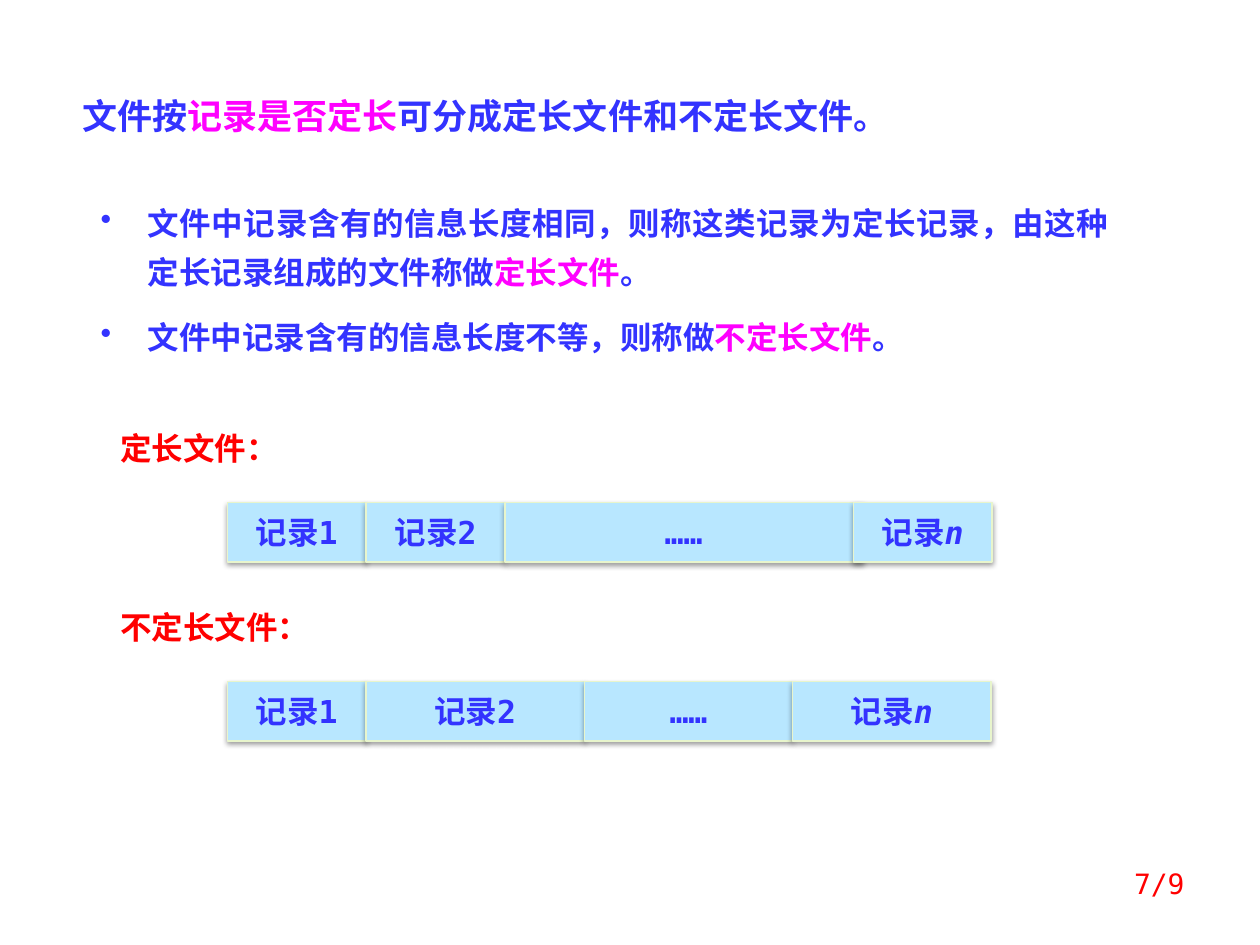
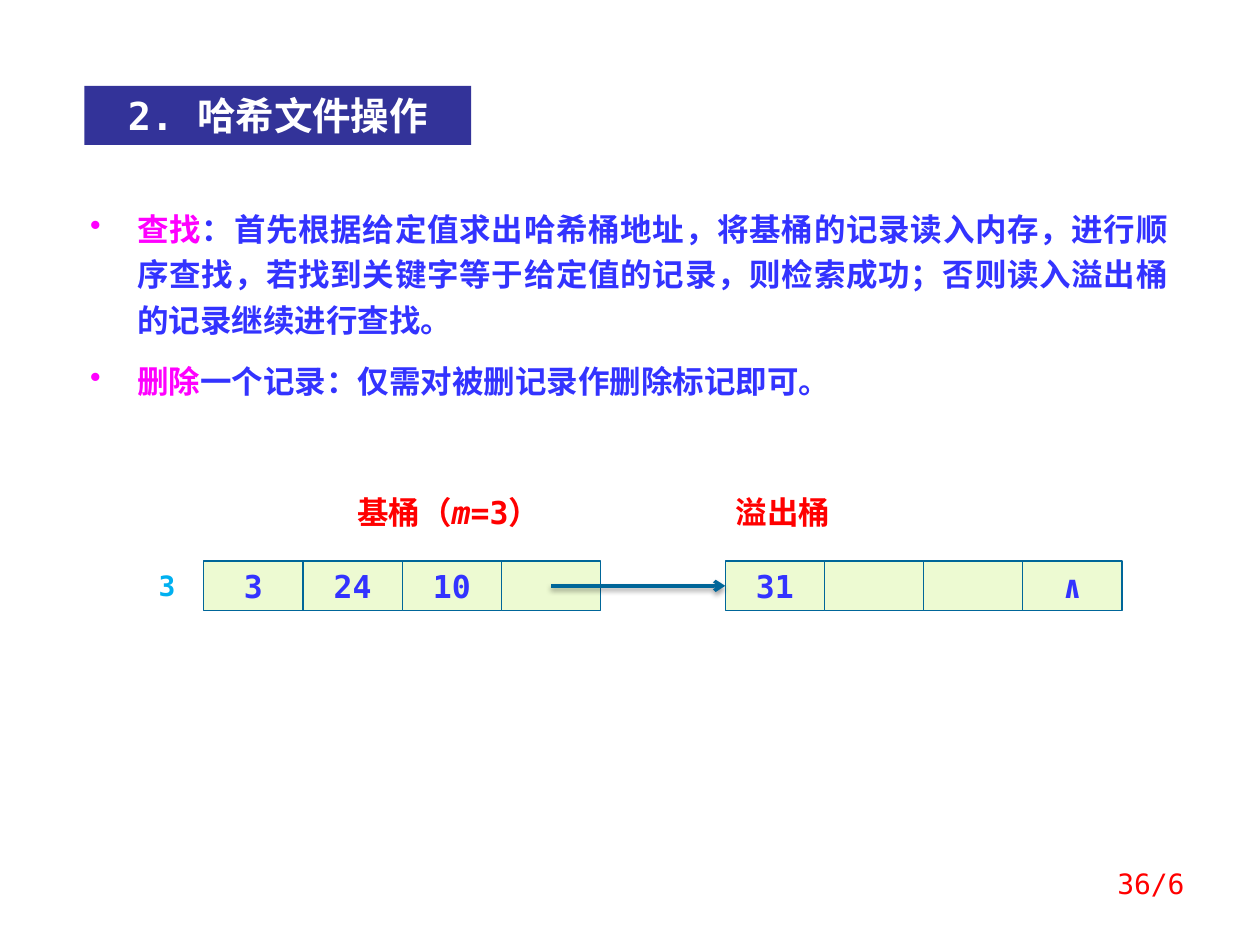
from dataclasses import dataclass

from lxml.etree import SubElement
from pptx import Presentation
from pptx.dml.color import RGBColor
from pptx.enum.shapes import MSO_CONNECTOR as Connector, MSO_SHAPE as Shape
from pptx.enum.text import MSO_ANCHOR as Anchor, MSO_AUTO_SIZE as AutoSize, PP_ALIGN as Align
from pptx.oxml.ns import qn
from pptx.util import Cm, Pt


@dataclass(frozen=True)
class Theme:
    """Colours, fonts and type sizes shared by the slides."""

    ink: str = "3333FF"
    accent: str = "FF00FF"
    label: str = "FF0000"
    address: str = "00B0F0"
    white: str = "FFFFFF"
    banner: str = "333399"
    record_fill: str = "B8E7FF"
    record_edge: str = "E8F5CC"
    bucket_fill: str = "EDFAD2"
    bucket_edge: str = "006699"
    mono: str = "DejaVu Sans Mono"
    han: str = "Noto Sans CJK SC"
    han_accent: str = "Noto Sans CJK JP"
    banner_size: int = 22
    heading_size: int = 20
    body_size: int = 18
    small_size: int = 16


THEME = Theme()


@dataclass(frozen=True)
class Run:
    """A stretch of text in one format."""

    text: str
    color: str = THEME.ink
    latin: str = THEME.mono
    size: int = THEME.body_size
    bold: bool = True
    italic: bool = False


def rgb(value):
    """Turn a hex string into a colour."""
    return RGBColor.from_string(value)


def write(paragraph, runs, align=Align.LEFT):
    """Add formatted runs to a paragraph."""
    paragraph.alignment = align
    for item in runs:
        run = paragraph.add_run()
        run.text = item.text
        font = run.font
        font.name, font.size = item.latin, Pt(item.size)
        font.bold, font.italic = item.bold, item.italic
        font.color.rgb = rgb(item.color)
        SubElement(run._r.get_or_add_rPr(), qn("a:ea"), typeface=THEME.mono)


def place(shape, left, top, width, height):
    """Set position and size in centimetres."""
    shape.left, shape.top = Cm(left), Cm(top)
    shape.width, shape.height = Cm(width), Cm(height)


def add_title(slide, box, runs, align=Align.LEFT, fill=None):
    """Place and format the title placeholder."""
    title = slide.shapes.title
    place(title, *box)
    if fill:
        title.fill.solid()
        title.fill.fore_color.rgb = rgb(fill)
    frame = title.text_frame
    frame.auto_size, frame.word_wrap = AutoSize.NONE, True
    frame.vertical_anchor = Anchor.TOP
    write(frame.paragraphs[0], runs, align)


def add_text(slide, box, runs, align=Align.LEFT, inset=True):
    """Add a one-paragraph text box."""
    frame = slide.shapes.add_textbox(*map(Cm, box)).text_frame
    frame.word_wrap = True
    if not inset:
        frame.margin_left = frame.margin_right = 0
        frame.margin_top = frame.margin_bottom = 0
    write(frame.paragraphs[0], runs, align)


def add_bullets(slide, box, items, line_spacing):
    """Add a justified bullet list."""
    frame = slide.shapes.add_textbox(*map(Cm, box)).text_frame
    frame.word_wrap = True
    for index, runs in enumerate(items):
        paragraph = frame.add_paragraph() if index else frame.paragraphs[0]
        paragraph.line_spacing = line_spacing
        if index:
            paragraph.space_before = Pt(THEME.body_size / 2)
        properties = paragraph._p.get_or_add_pPr()
        properties.set("marL", str(Cm(0.95)))
        properties.set("indent", str(-Cm(0.95)))
        SubElement(properties, qn("a:buChar"), char="•")
        write(paragraph, runs, Align.JUSTIFY)


def add_effects(shape, shadow=True):
    """Give a shape or connector its own effect list."""
    effects = SubElement(shape._element.spPr, qn("a:effectLst"))
    if shadow:
        outer = SubElement(effects, qn("a:outerShdw"), blurRad=str(Pt(3.1)),
                           dist=str(Pt(1.6)), dir="5400000", rotWithShape="0")
        color = SubElement(outer, qn("a:srgbClr"), val="000000")
        SubElement(color, qn("a:alpha"), val="38000")


def add_cell(slide, box, runs, fill, edge, shadow=False):
    """Add one outlined cell with centred text."""
    cell = slide.shapes.add_shape(Shape.RECTANGLE, *map(Cm, box))
    cell.fill.solid()
    cell.fill.fore_color.rgb = rgb(fill)
    cell.line.color.rgb = rgb(edge)
    cell.line.width = Pt(0.75)
    add_effects(cell, shadow)
    frame = cell.text_frame
    frame.word_wrap = False
    frame.vertical_anchor = Anchor.MIDDLE
    write(frame.paragraphs[0], runs, Align.CENTER)
    return cell


def add_file(slide, label, top, spans):
    """Add a labelled row of records with the given lefts and widths."""
    add_text(slide, (2.18, top, 7.4, 1.02), [Run(label, THEME.label, THEME.han)])
    records = ([Run("记录1")], [Run("记录2")], [Run("……")],
               [Run("记录"), Run("n", italic=True)])
    for runs, (left, width) in zip(records, spans):
        add_cell(slide, (left, top + 1.6, width, 1.2), runs,
                 THEME.record_fill, THEME.record_edge, shadow=True)


def add_bucket(slide, left, keys):
    """Add a bucket of equal cells and return them."""
    return [add_cell(slide, (left + 2 * index, 11.31, 2, 1), [Run(key)] if key else [],
                     THEME.bucket_fill, THEME.bucket_edge)
            for index, key in enumerate(keys)]


def add_overflow_link(slide, pointer, target):
    """Draw an arrow from the middle of one cell to the left side of another."""
    middle = pointer.top + pointer.height // 2
    link = slide.shapes.add_connector(Connector.STRAIGHT, pointer.left + pointer.width // 2,
                                      middle, target.left, middle)
    link.end_connect(target, 1)
    link.line.color.rgb = rgb(THEME.bucket_edge)
    link.line.width = Pt(2)
    SubElement(link.line._get_or_add_ln(), qn("a:tailEnd"), type="arrow")
    add_effects(link)


def add_page_number(slide, number):
    """Add the page count at the lower right."""
    add_text(slide, (18.2, 17.35, 5.93, 1.27),
             [Run(number, THEME.label, size=THEME.small_size, bold=False)], Align.RIGHT)


def build_record_length(slide):
    """Build the slide on fixed and variable length files."""
    size = THEME.heading_size
    add_title(slide, (1.4, 1.78, 17.86, 1.12), [
        Run("文件按", latin=THEME.han, size=size),
        Run("记录是否定长", THEME.accent, THEME.han_accent, size),
        Run("可分成定长文件和不定长文件。", latin=THEME.han, size=size)])
    add_bullets(slide, (1.78, 3.76, 20.83, 3.63), [
        [Run("文件中记录含有的信息长度相同，则称这类记录为定长记录，由这种定长记录组成的文件称做"),
         Run("定长文件", THEME.accent, THEME.han_accent), Run("。")],
        [Run("文件中记录含有的信息长度不等，则称做"),
         Run("不定长文件", THEME.accent, THEME.han_accent), Run("。")]], 1.3)
    add_file(slide, "定长文件：", 8.53, [(4.58, 2.8), (7.38, 2.8), (10.18, 7.2), (17.2, 2.8)])
    add_file(slide, "不定长文件：", 12.14, [(4.58, 2.8), (7.38, 4.4), (11.78, 4.2), (15.98, 4)])
    add_page_number(slide, "7/9")


def build_hash_operations(slide):
    """Build the slide on hash file operations."""
    add_title(slide, (1.7, 1.73, 7.8, 1.19),
              [Run("2. 哈希文件操作", THEME.white, size=THEME.banner_size)],
              Align.CENTER, THEME.banner)
    add_bullets(slide, (1.57, 3.96, 22.23, 4.34), [
        [Run("查找", THEME.accent),
         Run("：首先根据给定值求出哈希桶地址，将基桶的记录读入内存，进行顺序查找，"
             "若找到关键字等于给定值的记录，则检索成功；否则读入溢出桶的记录继续进行查找。")],
        [Run("删除", THEME.accent), Run("一个记录：仅需对被删记录作删除标记即可。")]], 1.2)
    add_text(slide, (2.77, 11.46, 1.2, 0.7),
             [Run("3", THEME.address, size=THEME.small_size)], Align.CENTER, inset=False)
    add_text(slide, (6.76, 9.93, 4.57, 0.76),
             [Run("基桶（", THEME.label), Run("m", THEME.label, italic=True),
              Run("=3）", THEME.label)], Align.CENTER, inset=False)
    add_text(slide, (14.48, 9.93, 2.6, 0.76), [Run("溢出桶", THEME.label)],
             Align.CENTER, inset=False)
    base = add_bucket(slide, 4.11, ["3", "24", "10", ""])
    overflow = add_bucket(slide, 14.62, ["31", "", "", "∧"])
    add_overflow_link(slide, base[-1], overflow[0])
    add_page_number(slide, "36/6")


def main():
    """Build and save the presentation."""
    deck = Presentation()
    deck.slide_width, deck.slide_height = Cm(25.4), Cm(19.05)
    title_only = deck.slide_layouts[5]
    for build in (build_record_length, build_hash_operations):
        build(deck.slides.add_slide(title_only))
    deck.save("out.pptx")


if __name__ == "__main__":
    main()
